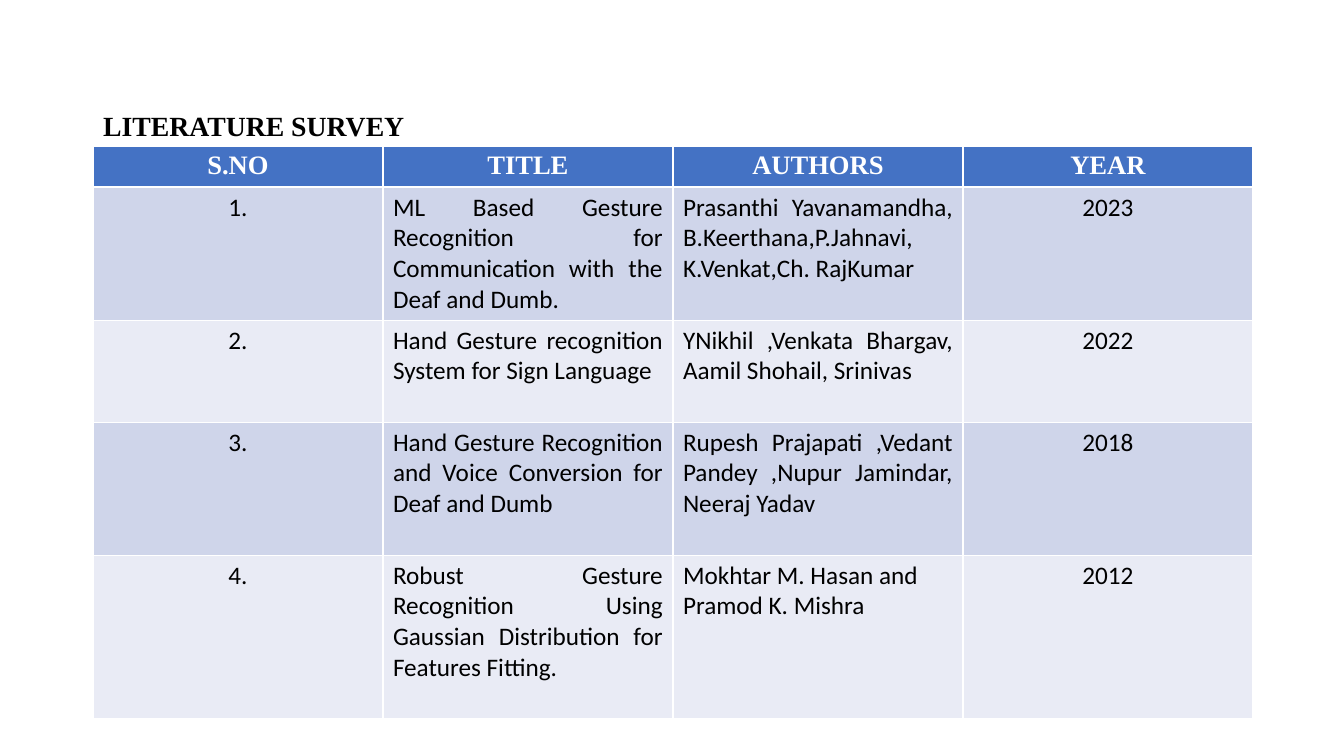
from pptx import Presentation
from pptx.dml.color import RGBColor
from pptx.enum.text import MSO_ANCHOR, MSO_AUTO_SIZE, PP_ALIGN
from pptx.util import Pt

PX = 914400 / 100.8


def px(n):
    return round(n * PX)


def add_run(p, text, size, font, color, bold):
    r = p.add_run()
    r.text = text
    r.font.size = Pt(size)
    r.font.name = font
    r.font.bold = bold
    r.font.color.rgb = RGBColor.from_string(color)


prs = Presentation()
prs.slide_width, prs.slide_height = px(1344), px(756)
s = prs.slides.add_slide(prs.slide_layouts[5])

# Title, raised above the table by its bottom inset
title = s.shapes.title
title.left, title.top, title.width, title.height = px(93), px(122), px(1134), px(45)
tf = title.text_frame
tf.auto_size = MSO_AUTO_SIZE.NONE
tf.word_wrap = True
tf.vertical_anchor = MSO_ANCHOR.MIDDLE
tf.margin_top, tf.margin_bottom = px(5), px(38)
p = tf.paragraphs[0]
p.alignment = PP_ALIGN.LEFT
p.line_spacing = 0.9
add_run(p, "LITERATURE SURVEY", 19.8, "Times New Roman", "000000", True)

# Survey table
rows = [
    ("S.NO", "TITLE", "AUTHORS", "YEAR"),
    ("1.", "ML Based Gesture Recognition for Communication with the Deaf and Dumb.",
     "Prasanthi Yavanamandha, B.Keerthana,P.Jahnavi, K.Venkat,Ch. RajKumar", "2023"),
    ("2.", "Hand Gesture recognition System for Sign Language",
     "YNikhil ,Venkata Bhargav, Aamil Shohail, Srinivas", "2022"),
    ("3.", "Hand Gesture Recognition and Voice Conversion for Deaf and Dumb",
     "Rupesh Prajapati ,Vedant Pandey ,Nupur Jamindar, Neeraj Yadav", "2018"),
    ("4.", "Robust Gesture Recognition Using Gaussian Distribution for Features Fitting.",
     "Mokhtar M. Hasan and Pramod K. Mishra", "2012"),
]
heights = [41, 133, 102, 133, 164]
table = s.shapes.add_table(len(rows), 4, px(93), px(146), px(1160), px(sum(heights))).table
for col in table.columns:
    col.width = px(290)

for i, (texts, height) in enumerate(zip(rows, heights)):
    table.rows[i].height = px(height)
    header = i == 0
    fill = "4472C4" if header else ("E9EBF5", "CFD5EA")[i % 2]
    for j, text in enumerate(texts):
        cell = table.cell(i, j)
        cell.fill.solid()
        cell.fill.fore_color.rgb = RGBColor.from_string(fill)
        p = cell.text_frame.paragraphs[0]
        if header or j in (0, 3):
            p.alignment = PP_ALIGN.CENTER
        elif (i, j) == (4, 2):
            p.alignment = PP_ALIGN.LEFT
        else:
            p.alignment = PP_ALIGN.JUSTIFY
        if header:
            add_run(p, text, 19, "Times New Roman", "FFFFFF", True)
        else:
            add_run(p, text, 18, "Calibri", "000000", False)

prs.save("out.pptx")
